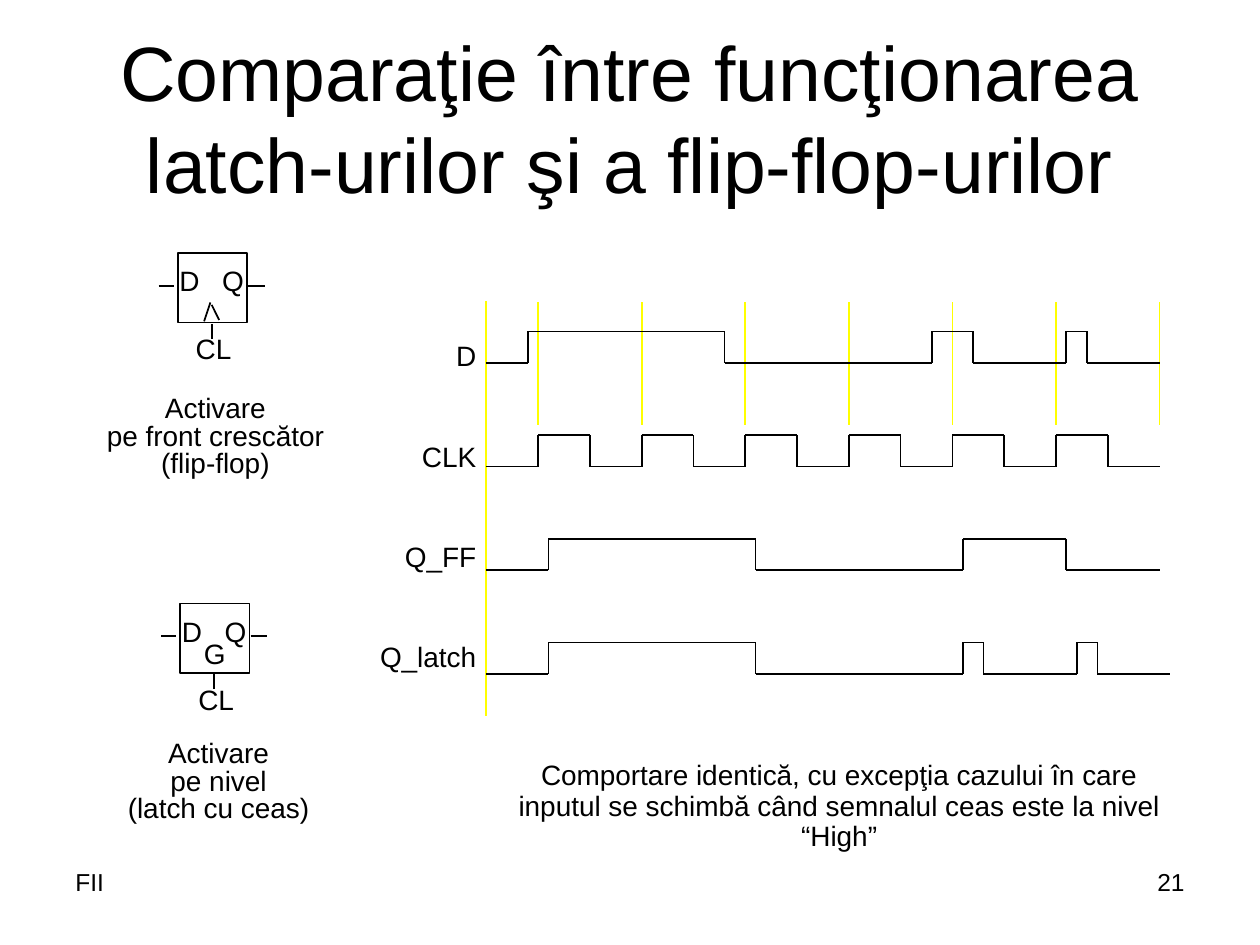
import itertools

import pptx
import pptx.util
from lxml import etree
from pptx.dml.color import RGBColor
from pptx.enum.shapes import MSO_CONNECTOR, MSO_SHAPE
from pptx.enum.text import MSO_ANCHOR, PP_ALIGN
from pptx.oxml.ns import qn
from pptx.util import Inches, Pt

BLACK = RGBColor(0x00, 0x00, 0x00)
YELLOW = RGBColor(0xFF, 0xFF, 0x00)

# Timing diagram: one time unit is half a clock period
START_X = 3.86
HALF_PERIOD = 0.411
FIRST_LOW_Y = 2.88
SIGNAL_PITCH = 0.823
AMPLITUDE = 0.25


class Diagram:
    """Holds the slide and its text and line style."""

    font = "Arial"
    line_width = Pt(1)
    tight = (0.02, 0.03)
    roomy = (0.1, 0.05)

    def __init__(self, slide):
        self.slide = slide

    def text(self, left, top, width, height, lines, size=16,
             align=PP_ALIGN.CENTER, spacing=None, before=0, tab=None,
             margins=tight, wrap=False, anchor=MSO_ANCHOR.TOP):
        box = self.slide.shapes.add_textbox(
            Inches(left), Inches(top), Inches(width), Inches(height))
        frame = box.text_frame
        frame.word_wrap = wrap
        frame.vertical_anchor = anchor
        frame.margin_left = frame.margin_right = Inches(margins[0])
        frame.margin_top = frame.margin_bottom = Inches(margins[1])
        for index, line in enumerate(lines):
            paragraph = frame.add_paragraph() if index else frame.paragraphs[0]
            paragraph.alignment = align
            if spacing:
                paragraph.line_spacing = Pt(spacing)
            if index and before:
                paragraph.space_before = Pt(before)
            if tab:
                stops = etree.SubElement(
                    paragraph._p.get_or_add_pPr(), qn("a:tabLst"))
                etree.SubElement(stops, qn("a:tab"),
                                 pos=str(Inches(tab)), algn="l")
            run = paragraph.add_run()
            run.text = line
            run.font.name = self.font
            run.font.size = Pt(size)
            run.font.color.rgb = BLACK

    def line(self, start, end, color=BLACK):
        connector = self.slide.shapes.add_connector(
            MSO_CONNECTOR.STRAIGHT,
            *(Inches(value) for value in (*start, *end)))
        connector.line.color.rgb = color
        connector.line.width = self.line_width
        etree.SubElement(connector._element.spPr, qn("a:effectLst"))

    def square(self, left, top, side):
        body = self.slide.shapes.add_shape(
            MSO_SHAPE.RECTANGLE, Inches(left), Inches(top),
            Inches(side), Inches(side))
        body.shadow.inherit = False
        body.fill.background()
        body.line.color.rgb = BLACK
        body.line.width = self.line_width

    def storage_element(self, left, top):
        """Draw the body, the pins and the labels both symbols share."""
        self.square(left, top, 0.55)
        self.text(left - 0.03, top + 0.13, 0.6, 0.33, ["D\tQ"],
                  spacing=13.8, tab=0.34)
        pin_y = top + 0.26
        clock_x = left + 0.27
        self.line((left - 0.15, pin_y), (left - 0.03, pin_y))
        self.line((left + 0.56, pin_y), (left + 0.69, pin_y))
        self.line((clock_x, top + 0.56), (clock_x, top + 0.68))
        self.text(left - 0.14, top + 0.67, 0.85, 0.36, ["CL"], spacing=13.8)

    def waveform(self, row, edges, end):
        """Draw a signal that starts low and toggles at every edge."""
        low = FIRST_LOW_Y + row * SIGNAL_PITCH
        levels = itertools.cycle((low, low - AMPLITUDE))
        points = [(START_X, next(levels))]
        for edge in edges:
            x = time_x(edge)
            points += [(x, points[-1][1]), (x, low if points[-1][1] != low
                                            else low - AMPLITUDE)]
        points.append((time_x(end), points[-1][1]))
        for start, stop in zip(points, points[1:]):
            self.line(start, stop)


def time_x(units):
    return START_X + units * HALF_PERIOD


def main():
    deck = pptx.Presentation()
    deck.slide_width = Inches(10)
    deck.slide_height = Inches(7.5)
    diagram = Diagram(deck.slides.add_slide(deck.slide_layouts[6]))

    diagram.text(0.5, 0.3, 9, 1.25,
                 ["Comparaţie între funcţionarea latch-urilor şi a flip-flop-urilor"],
                 size=44, margins=Diagram.roomy, wrap=True,
                 anchor=MSO_ANCHOR.MIDDLE)

    # Flip-flop, with its edge-trigger mark
    diagram.storage_element(1.41, 2.01)
    diagram.line((1.62, 2.55), (1.67, 2.4))
    diagram.line((1.68, 2.42), (1.74, 2.54))
    diagram.text(0.79, 3.12, 1.84, 0.82,
                 ["Activare", "pe front crescător", "(flip-flop)"],
                 spacing=15.7)

    # Latch, with its gate input
    diagram.storage_element(1.43, 4.79)
    diagram.text(1.43, 5.1, 0.55, 0.33, ["G"], spacing=13.8)
    diagram.text(0.77, 5.86, 1.93, 0.82,
                 ["Activare", "pe nivel", "(latch cu ceas)"], spacing=15.7)

    # Time markers: the origin and every rising clock edge
    diagram.line((START_X, 5.68), (START_X, 2.39), YELLOW)
    for rising_edge in range(1, 14, 2):
        x = time_x(rising_edge)
        diagram.line((x, 3.37), (x, 2.4), YELLOW)

    # Edges and end of each signal, in half clock periods
    signals = {
        "D": ((0.8, 4.6, 8.6, 9.4, 11.2, 11.6), 13),
        "CLK": (range(1, 13), 13),
        "Q_FF": ((1.2, 5.2, 9.2, 11.2), 13),
        "Q_latch": ((1.2, 5.2, 9.2, 9.6, 11.4, 11.8), 13.2),
    }
    diagram.text(2.81, 2.53, 0.99, 2.92, signals, align=PP_ALIGN.RIGHT,
                 spacing=28.6, before=28.6)
    for row, (edges, end) in enumerate(signals.values()):
        diagram.waveform(row, edges, end)

    diagram.text(3.86, 6, 5.6, 0.63,
                 ["Comportare identică, cu excepţia cazului în care",
                  "inputul se schimbă când semnalul ceas este la nivel “High”"],
                 spacing=17.7)
    for left, label, align in ((0.5, "FII", PP_ALIGN.LEFT),
                               (7.17, "21", PP_ALIGN.RIGHT)):
        diagram.text(left, 6.83, 2.33, 0.52, [label], size=14, align=align,
                     margins=Diagram.roomy, wrap=True)

    deck.save("out.pptx")


if __name__ == "__main__":
    main()
